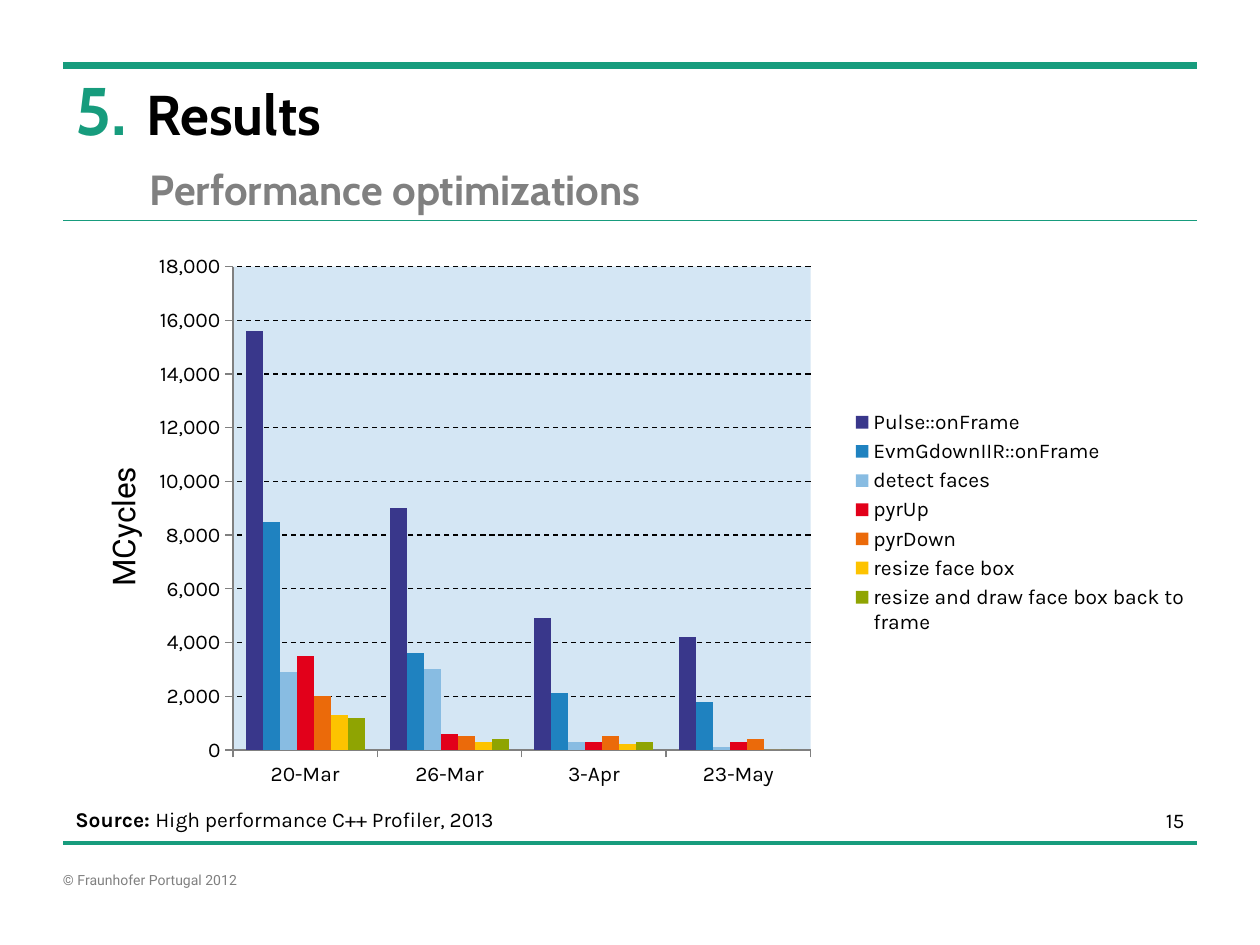
from lxml.etree import SubElement
from pptx import Presentation
from pptx.chart.data import CategoryChartData
from pptx.dml.color import RGBColor
from pptx.enum.chart import XL_CHART_TYPE, XL_LEGEND_POSITION, XL_TICK_MARK
from pptx.enum.dml import MSO_LINE
from pptx.enum.shapes import MSO_CONNECTOR
from pptx.enum.text import MSO_ANCHOR, PP_ALIGN
from pptx.oxml.ns import qn
from pptx.oxml.xmlchemy import OxmlElement
from pptx.util import Inches, Pt

THEME = {
    "green": RGBColor.from_string("179C7D"),
    "grey": RGBColor.from_string("808080"),
    "black": RGBColor.from_string("000000"),
    "plot": RGBColor.from_string("D4E6F4"),
    "title": Pt(32),
    "subtitle": Pt(24),
    "axis_title": Pt(18),
    "body": Pt(12),
    "small": Pt(8),
    "heading_font": "Cabin",
    "body_font": "Karla",
    "plain_font": "Roboto",
}


def apply_format(target, values):
    for name, value in values.items():
        if name == "color":
            target.color.rgb = value
        else:
            setattr(target, name, value)


def place_in_chart(part, position, fractions):
    layout = part.find(qn("c:layout"))
    if layout is None:
        layout = OxmlElement("c:layout")
        part.insert(position, layout)
    manual = SubElement(layout, qn("c:manualLayout"))
    for tag, value in fractions.items():
        SubElement(manual, qn(f"c:{tag}")).set("val", str(value))


body_format = {"name": THEME["body_font"], "size": THEME["body"], "bold": False, "color": THEME["black"]}
title_format = {"name": THEME["heading_font"], "size": THEME["title"], "bold": True, "color": THEME["black"]}
subtitle_format = {**title_format, "size": THEME["subtitle"], "color": THEME["grey"]}
copyright_format = {"name": THEME["plain_font"], "size": THEME["small"], "color": THEME["grey"]}
axis_title_format = {"name": THEME["plain_font"], "size": THEME["axis_title"], "bold": False, "color": THEME["black"]}

presentation = Presentation()
presentation.slide_width, presentation.slide_height = Inches(10), Inches(7.5)
slide = presentation.slides.add_slide(presentation.slide_layouts[5])

for y, weight in [(6.69, 2.5), (1.75, 1), (0.52, 4)]:
    rule = slide.shapes.add_connector(MSO_CONNECTOR.STRAIGHT, Inches(0.5), Inches(y), Inches(9.5), Inches(y))
    rule.line.color.rgb = THEME["green"]
    rule.line.width = Pt(weight)
    SubElement(rule._element.spPr, qn("a:effectLst"))

title = slide.shapes.title
apply_format(title, {"left": Inches(0.5), "top": Inches(0.56), "width": Inches(8.99), "height": Inches(0.67)})
apply_format(title.text_frame, {"word_wrap": True, "vertical_anchor": MSO_ANCHOR.MIDDLE})
heading = title.text_frame.paragraphs[0]
heading.alignment = PP_ALIGN.LEFT
numbering = heading._p.get_or_add_pPr()
numbering.set("marL", str(Inches(0.56)))
numbering.set("indent", str(Inches(-0.56)))
number_color = SubElement(numbering, qn("a:buClr"))
SubElement(number_color, qn("a:srgbClr")).set("val", str(THEME["green"]))
SubElement(numbering, qn("a:buSzPct")).set("val", "120000")
number = SubElement(numbering, qn("a:buAutoNum"))
number.set("type", "arabicPeriod")
number.set("startAt", "5")
heading_run = heading.add_run()
heading_run.text = "Results"
apply_format(heading_run.font, title_format)

source_runs = [
    ("Source: ", {**body_format, "bold": True}),
    ("High performance C++ Profiler, 2013", body_format),
]
labels = [
    ((1.09, 1.25, 8.41, 0.5), PP_ALIGN.LEFT, {}, [("Performance optimizations", subtitle_format)]),
    ((0.5, 6.35, 4.16, 0.3), PP_ALIGN.LEFT, {}, source_runs),
    ((8.96, 6.36, 0.54, 0.3), PP_ALIGN.RIGHT, {}, [("15", body_format)]),
    (
        (0.5, 6.92, 1.97, 0.13),
        PP_ALIGN.LEFT,
        dict.fromkeys(["margin_left", "margin_top", "margin_right", "margin_bottom"], 0),
        [("© Fraunhofer Portugal 2012", copyright_format)],
    ),
]
for bounds, alignment, margins, runs in labels:
    frame = slide.shapes.add_textbox(*map(Inches, bounds)).text_frame
    apply_format(frame, {"word_wrap": True, **margins})
    line = frame.paragraphs[0]
    line.alignment = alignment
    for wording, font_format in runs:
        run = line.add_run()
        run.text = wording
        apply_format(run.font, font_format)

profile = [
    ("Pulse::onFrame", (15600, 9000, 4900, 4200), "39378B"),
    ("EvmGdownIIR::onFrame", (8500, 3600, 2100, 1800), "1F82C0"),
    ("detect faces", (2900, 3000, 300, 100), "88BCE2"),
    ("pyrUp", (3500, 600, 300, 300), "E2001A"),
    ("pyrDown", (2000, 500, 500, 400), "EB6A0A"),
    ("resize face box", (1300, 300, 200, 0), "FDC300"),
    ("resize and draw face box back to frame", (1200, 400, 300, 0), "8FA402"),
]
cycles = CategoryChartData(number_format="#,##0")
cycles.categories = ["20-Mar", "26-Mar", "3-Apr", "23-May"]
for name, values, _ in profile:
    cycles.add_series(name, values)

chart = slide.shapes.add_chart(
    XL_CHART_TYPE.COLUMN_CLUSTERED, Inches(0.5), Inches(1.94), Inches(8.99), Inches(4.41), cycles
).chart
apply_format(chart, {"has_title": False, "has_legend": True})
apply_format(chart.font, {"name": THEME["plain_font"], "size": THEME["axis_title"]})
chart.font.color.rgb = THEME["black"]
columns = chart.plots[0]
apply_format(columns, {"gap_width": 150, "overlap": 0, "vary_by_categories": False})
for series, (_, _, color) in zip(columns.series, profile):
    series.format.fill.solid()
    series.format.fill.fore_color.rgb = RGBColor.from_string(color)
    series.invert_if_negative = False

for axis in (chart.category_axis, chart.value_axis):
    apply_format(axis, {"major_tick_mark": XL_TICK_MARK.OUTSIDE, "minor_tick_mark": XL_TICK_MARK.NONE})
    apply_format(axis.tick_labels.font, body_format)
    apply_format(axis.format.line, {"color": THEME["grey"], "width": Pt(0.75)})

cycle_axis = chart.value_axis
apply_format(
    cycle_axis,
    {"minimum_scale": 0, "maximum_scale": 18000, "major_unit": 2000, "has_major_gridlines": True, "has_title": True},
)
apply_format(cycle_axis.tick_labels, {"number_format": "#,##0", "number_format_is_linked": False})
apply_format(
    cycle_axis.major_gridlines.format.line,
    {"color": THEME["black"], "width": Pt(0.75), "dash_style": MSO_LINE.DASH},
)
cycle_title = cycle_axis.axis_title.text_frame
cycle_run = cycle_title.paragraphs[0].add_run()
cycle_run.text = "MCycles"
apply_format(cycle_run.font, axis_title_format)
cycle_title._txBody.bodyPr.set("rot", "-5400000")
cycle_title._txBody.bodyPr.set("vert", "horz")

apply_format(chart.legend, {"position": XL_LEGEND_POSITION.RIGHT, "include_in_layout": False})
apply_format(chart.legend.font, body_format)

plot_area = chart._chartSpace.chart.plotArea
plot_fill = SubElement(SubElement(plot_area, qn("c:spPr")), qn("a:solidFill"))
SubElement(plot_fill, qn("a:srgbClr")).set("val", str(THEME["plot"]))
edges = {"xMode": "edge", "yMode": "edge"}
place_in_chart(plot_area, 0, {"layoutTarget": "inner", **edges, "x": 0.15, "y": 0.04, "w": 0.51, "h": 0.87})
place_in_chart(chart.legend._element, 1, {**edges, "x": 0.69, "y": 0.29, "w": 0.31, "h": 0.42})
place_in_chart(cycle_axis.axis_title._element, 1, {**edges, "x": 0.03, "y": 0.39})

presentation.save("out.pptx")
